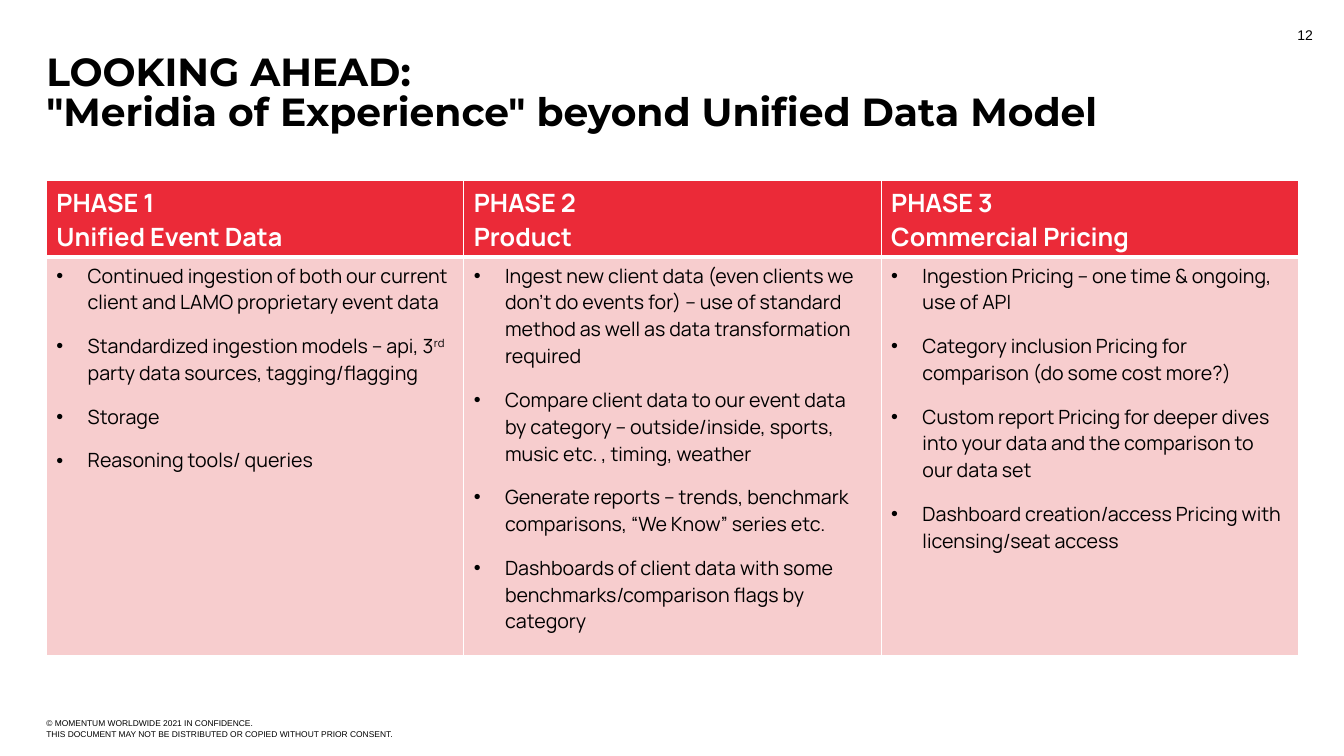
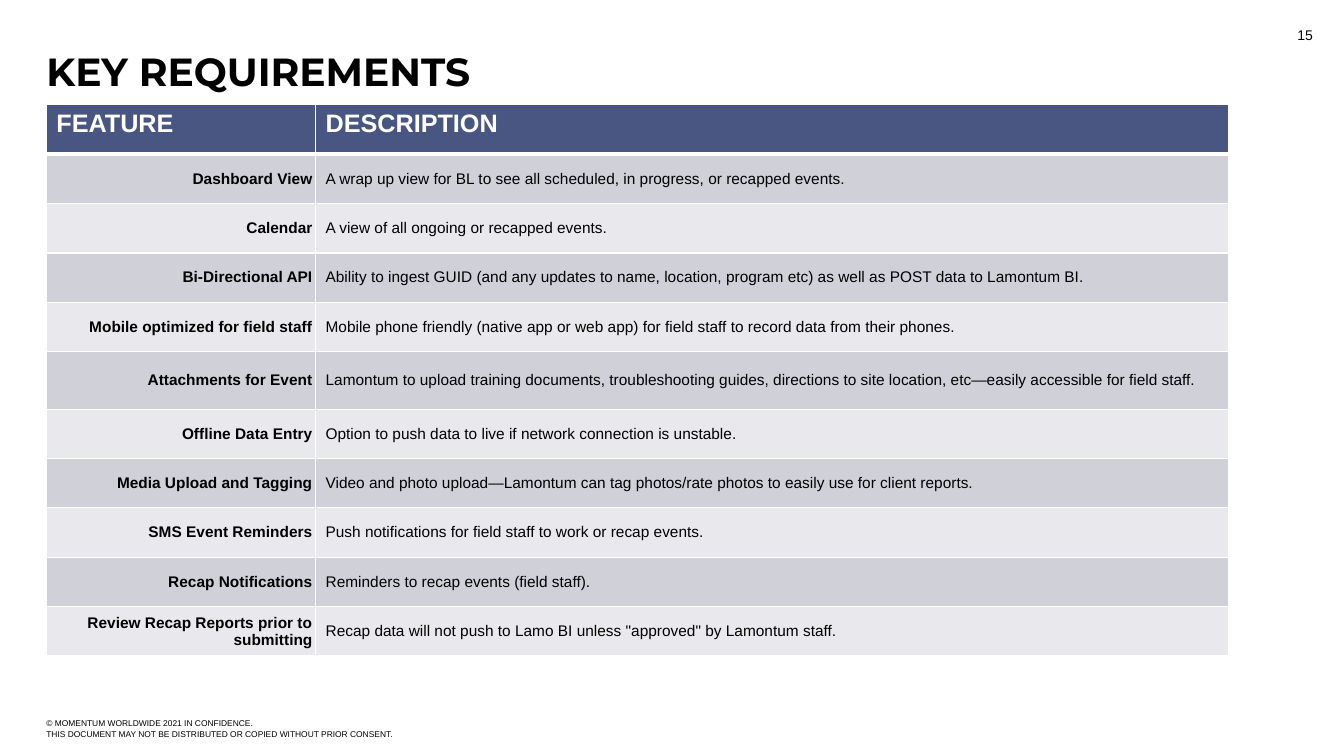
from lxml import etree
from pptx import Presentation
from pptx.dml.color import RGBColor
from pptx.enum.text import MSO_ANCHOR, PP_ALIGN
from pptx.oxml.ns import qn
from pptx.util import Pt

TOP, MIDDLE = MSO_ANCHOR.TOP, MSO_ANCHOR.MIDDLE
LEFT, RIGHT = PP_ALIGN.LEFT, PP_ALIGN.RIGHT
TITLE_ONLY = 5
PX = 9144  # EMU per px, 100 px to the inch

COLORS = {
    "black": "000000", "white": "FFFFFF",
    "red": "EB2A38", "pink": "F7CDCE",
    "navy": "495682", "gray": "D0D1D8", "light": "E9E9ED",
}
MARGIN_LEFT = 46
BULLET_INDENT = 31
FOOTER = ("© MOMENTUM WORLDWIDE 2021 IN CONFIDENCE.\v"
          "THIS DOCUMENT MAY NOT BE DISTRIBUTED OR COPIED WITHOUT PRIOR CONSENT.")

# Content: a bullet is a string, or a list of (text, is_superscript) pieces
PHASES = [
    (["PHASE 1", "Unified Event Data"], [
        "Continued ingestion of both our current client and LAMO proprietary event data",
        [("Standardized ingestion models – api, 3", False), ("rd", True),
         (" party data sources, tagging/flagging", False)],
        "Storage",
        "Reasoning tools/ queries",
    ]),
    (["PHASE 2", "Product"], [
        "Ingest new client data (even clients we don’t do events for) – use of standard "
        "method as well as data transformation required",
        "Compare client data to our event data by category – outside/inside, sports, "
        "music etc. , timing, weather",
        "Generate reports – trends, benchmark comparisons, “We Know” series etc.",
        "Dashboards of client data with some benchmarks/comparison flags by category",
    ]),
    (["PHASE 3", "Commercial Pricing"], [
        "Ingestion Pricing – one time & ongoing, use of API",
        "Category inclusion Pricing for comparison (do some cost more?)",
        "Custom report Pricing for deeper dives into your data and the comparison to our data set",
        "Dashboard creation/access Pricing with licensing/seat access",
    ]),
]
REQUIREMENTS = [
    ("Dashboard View",
     "A wrap up view for BL to see all scheduled, in progress, or recapped events."),
    ("Calendar", "A view of all ongoing or recapped events."),
    ("Bi-Directional API",
     "Ability to ingest GUID (and any updates to name, location, program etc) "
     "as well as POST data to Lamontum BI."),
    ("Mobile optimized for field staff",
     "Mobile phone friendly (native app or web app) for field staff to record data "
     "from their phones."),
    ("Attachments for Event",
     "Lamontum to upload training documents, troubleshooting guides, directions to "
     "site location, etc—easily accessible for field staff."),
    ("Offline Data Entry", "Option to push data to live if network connection is unstable."),
    ("Media Upload and Tagging",
     "Video and photo upload—Lamontum can tag photos/rate photos to easily use for "
     "client reports."),
    ("SMS Event Reminders", "Push notifications for field staff to work or recap events."),
    ("Recap Notifications", "Reminders to recap events (field staff)."),
    ("Review Recap Reports prior to submitting",
     "Recap data will not push to Lamo BI unless \"approved\" by Lamontum staff."),
]


def px(*values):
    return [value * PX for value in values]


def color(name):
    return RGBColor.from_string(COLORS[name])


def add_bullet(paragraph):
    properties = paragraph._p.get_or_add_pPr()
    properties.set("marL", str(BULLET_INDENT * PX))
    properties.set("indent", str(-BULLET_INDENT * PX))
    etree.SubElement(properties, qn("a:buFont"), typeface="Arial")
    etree.SubElement(properties, qn("a:buChar"), char="•")
    paragraph.space_after = Pt(12)


def write(frame, lines, size, font="Arial", fill="black", bold=False, align=LEFT, bullets=False):
    """Fill a text frame with one paragraph per line."""
    for index, line in enumerate(lines):
        paragraph = frame.add_paragraph() if index else frame.paragraphs[0]
        if isinstance(line, str):
            paragraph.text = line
        else:
            for text, superscript in line:
                run = paragraph.add_run()
                run.text = text
                if superscript:
                    run._r.get_or_add_rPr().set("baseline", "30000")
        if bullets:
            add_bullet(paragraph)
        paragraph.alignment = align
        paragraph.font.name, paragraph.font.size = font, Pt(size)
        paragraph.font.bold = bold
        paragraph.font.color.rgb = color(fill)


def set_margins(frame, horizontal, vertical):
    frame.margin_left = frame.margin_right = horizontal * PX
    frame.margin_top = frame.margin_bottom = vertical * PX


def add_text(slide, box, line, size, align=LEFT, margins=(10, 5)):
    frame = slide.shapes.add_textbox(*px(*box)).text_frame
    frame.word_wrap = True
    frame.vertical_anchor = MIDDLE
    set_margins(frame, *margins)
    write(frame, [line], size, align=align)
    return frame.paragraphs[0]


def add_base_slide(presentation, title_text, page):
    """Add a slide with the shared footer, title and page number."""
    slide = presentation.slides.add_slide(presentation.slide_layouts[TITLE_ONLY])
    add_text(slide, (MARGIN_LEFT, 696, 401, 52), FOOTER, 6, margins=(0, 0)).line_spacing = 1.15
    title = slide.shapes.title
    title.left, title.top, title.width, title.height = px(MARGIN_LEFT, 54, 1242, 100)
    frame = title.text_frame
    frame.vertical_anchor = TOP
    set_margins(frame, 0, 0)
    write(frame, [title_text], 28, "Montserrat", bold=True)
    frame.paragraphs[0].line_spacing = 0.85
    add_text(slide, (1012, 15, 300, 40), page, 10, RIGHT)
    return slide


def add_plain_table(slide, top, widths, heights):
    box = px(MARGIN_LEFT, top, sum(widths), sum(heights))
    table = slide.shapes.add_table(len(heights), len(widths), *box).table
    table.horz_banding = False
    for column, width in zip(table.columns, widths):
        column.width = width * PX
    for row, height in zip(table.rows, heights):
        row.height = height * PX
    return table


def style_cell(table, row, column, fill):
    """Set the fill and white borders, thicker below the header row."""
    cell = table.cell(row, column)
    properties = cell._tc.get_or_add_tcPr()
    thick = {0: "lnB", 1: "lnT"}.get(row)
    for side in ("lnL", "lnR", "lnT", "lnB"):
        width = Pt(3 if side == thick else 1)
        line = etree.SubElement(properties, qn(f"a:{side}"), w=str(width))
        solid = etree.SubElement(line, qn("a:solidFill"))
        etree.SubElement(solid, qn("a:srgbClr"), val=COLORS["white"])
    cell.fill.solid()
    cell.fill.fore_color.rgb = color(fill)
    return cell


def build_phases(presentation):
    slide = add_base_slide(
        presentation, "LOOKING AHEAD:\v\"Meridia of Experience\" beyond Unified Data Model", "12")
    table = add_plain_table(slide, 179, [414] * len(PHASES), [76, 395])
    for column, (heading, bullets) in enumerate(PHASES):
        header = style_cell(table, 0, column, "red")
        write(header.text_frame, heading, 18, "Manrope", "white", bold=True)
        body = style_cell(table, 1, column, "pink")
        write(body.text_frame, bullets, 14, "Manrope", bullets=True)


def build_requirements(presentation):
    slide = add_base_slide(presentation, "KEY REQUIREMENTS", "15")
    heights = [49] * (len(REQUIREMENTS) + 1)
    heights[5] = 57
    table = add_plain_table(slide, 104, [267, 906], heights)
    for column, heading in enumerate(["FEATURE", "DESCRIPTION"]):
        header = style_cell(table, 0, column, "navy")
        write(header.text_frame, [heading], 18, fill="white", bold=True)
    for row, texts in enumerate(REQUIREMENTS, start=1):
        for column, text in enumerate(texts):
            is_feature = column == 0
            cell = style_cell(table, row, column, "gray" if row % 2 else "light")
            cell.vertical_anchor = MIDDLE
            if is_feature:
                set_margins(cell, 3, 2)
            write(cell.text_frame, [text], 11, bold=is_feature,
                  align=RIGHT if is_feature else LEFT)


def main():
    presentation = Presentation()
    presentation.slide_width, presentation.slide_height = px(1333, 750)
    build_phases(presentation)
    build_requirements(presentation)
    presentation.save("out.pptx")


if __name__ == "__main__":
    main()
